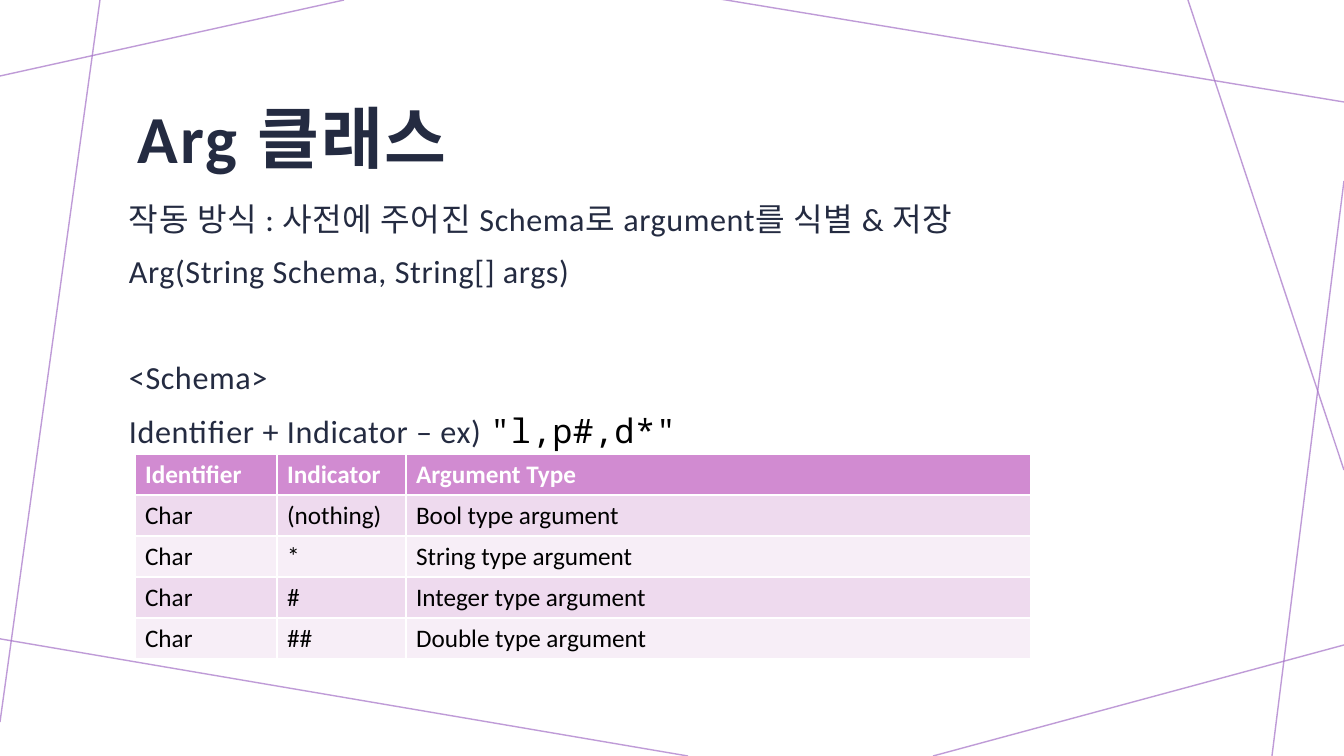
from pptx import Presentation
from pptx.dml.color import RGBColor
from pptx.enum.shapes import MSO_CONNECTOR
from pptx.enum.text import MSO_ANCHOR, MSO_AUTO_SIZE, PP_ALIGN
from pptx.oxml.ns import qn
from pptx.util import Pt
from lxml.etree import SubElement

NAVY = RGBColor(0x24, 0x2B, 0x41)
BLACK = RGBColor(0, 0, 0)
WHITE = RGBColor(0xFF, 0xFF, 0xFF)
PURPLE = RGBColor(0xA4, 0x71, 0xC7)
HEADER = RGBColor(0xD1, 0x8B, 0xD1)
BANDS = [RGBColor(0xF7, 0xEE, 0xF7), RGBColor(0xEE, 0xDA, 0xEE)]
FONT, MONO = "Calibri", "Noto Sans Mono"

TITLE = "Arg 클래스"
# Space before in points, then the text
BODY = [
    (10, "작동 방식 : 사전에 주어진 Schema로 argument를 식별 & 저장"),
    (10, "Arg(String Schema, String[] args)"),
    (48, "<Schema>"),
    (10, "Identifier + Indicator – ex) "),
]
EXAMPLE = '"l,p#,d*"'
ROWS = [
    ("Identifier", "Indicator", "Argument Type"),
    ("Char", "(nothing)", "Bool type argument"),
    ("Char", "*", "String type argument"),
    ("Char", "#", "Integer type argument"),
    ("Char", "##", "Double type argument"),
]

# Lengths in px
WIDTH, HEIGHT = 1344, 756
EMU_PER_PX = 12192000 / WIDTH
TITLE_BOX = (126, 58, 1092, 152)
BODY_BOX = (117, 187, 1092, 444)
TABLE_AT = (135, 454)
COLUMNS = (142, 129, 625)
ROW_HEIGHT = 41
LINES = [
    (344, 0, 0, 76),
    (100, 0, 0, 722),
    (688, 756, -5, 638),
    (1344, 645, 933, 756),
    (1344, 181, 1272, 756),
    (1344, 470, 1188, 0),
    (1344, 102, 720, -1),
]


def px(*lengths):
    return [round(n * EMU_PER_PX) for n in lengths]


def style(r, size, color, font=FONT, bold=False, spacing=0):
    """Format a run; spacing is the letter spacing in hundredths of a point."""
    r.font.name, r.font.size, r.font.bold = font, Pt(size), bold
    r.font.color.rgb = color
    if spacing:
        r._r.get_or_add_rPr().set("spc", str(spacing))


def set_frame(tf, anchor):
    tf.word_wrap = True
    tf.auto_size = MSO_AUTO_SIZE.NONE
    tf.vertical_anchor = anchor
    tf.margin_left, tf.margin_top, tf.margin_right, tf.margin_bottom = px(12, 12, 12, 10)


def add_lines(slide):
    for ends in LINES:
        line = slide.shapes.add_connector(MSO_CONNECTOR.STRAIGHT, *px(*ends))
        line.line.color.rgb, line.line.width = PURPLE, Pt(1)
        SubElement(line.line._ln.find(".//" + qn("a:srgbClr")), qn("a:alpha"), val="70000")
        SubElement(line._element.spPr, qn("a:effectLst"))


def add_title(slide):
    sp = slide.shapes.title
    sp.left, sp.top, sp.width, sp.height = px(*TITLE_BOX)
    tf = sp.text_frame
    tf.text = TITLE
    set_frame(tf, MSO_ANCHOR.MIDDLE)
    p = tf.paragraphs[0]
    p.alignment, p.line_spacing = PP_ALIGN.LEFT, 1.05
    style(p.runs[0], 48, NAVY, bold=True, spacing=150)


def add_body(slide):
    tf = slide.shapes.add_textbox(*px(*BODY_BOX)).text_frame
    set_frame(tf, MSO_ANCHOR.TOP)
    tf.text = "\n".join(text for _, text in BODY)
    for p, (before, _) in zip(tf.paragraphs, BODY):
        p.space_before = Pt(before)
        style(p.runs[0], 23, NAVY, spacing=40)
    r = tf.paragraphs[-1].add_run()
    r.text = EXAMPLE
    style(r, 24, BLACK, MONO, spacing=40)


def add_schema_table(slide):
    size = sum(COLUMNS), ROW_HEIGHT * len(ROWS)
    table = slide.shapes.add_table(len(ROWS), len(COLUMNS), *px(*TABLE_AT, *size)).table
    for column, width in zip(table.columns, px(*COLUMNS)):
        column.width = width
    for i, row in enumerate(ROWS):
        for j, text in enumerate(row):
            cell = table.cell(i, j)
            cell.fill.solid()
            cell.fill.fore_color.rgb = BANDS[i % 2] if i else HEADER
            cell.text = text
            style(cell.text_frame.paragraphs[0].runs[0], 18, BLACK if i else WHITE, bold=i == 0)


def main():
    prs = Presentation()
    prs.slide_width, prs.slide_height = px(WIDTH, HEIGHT)
    slide = prs.slides.add_slide(prs.slide_layouts.get_by_name("Title Only"))
    add_lines(slide)
    add_title(slide)
    add_body(slide)
    add_schema_table(slide)
    prs.save("out.pptx")


if __name__ == "__main__":
    main()
